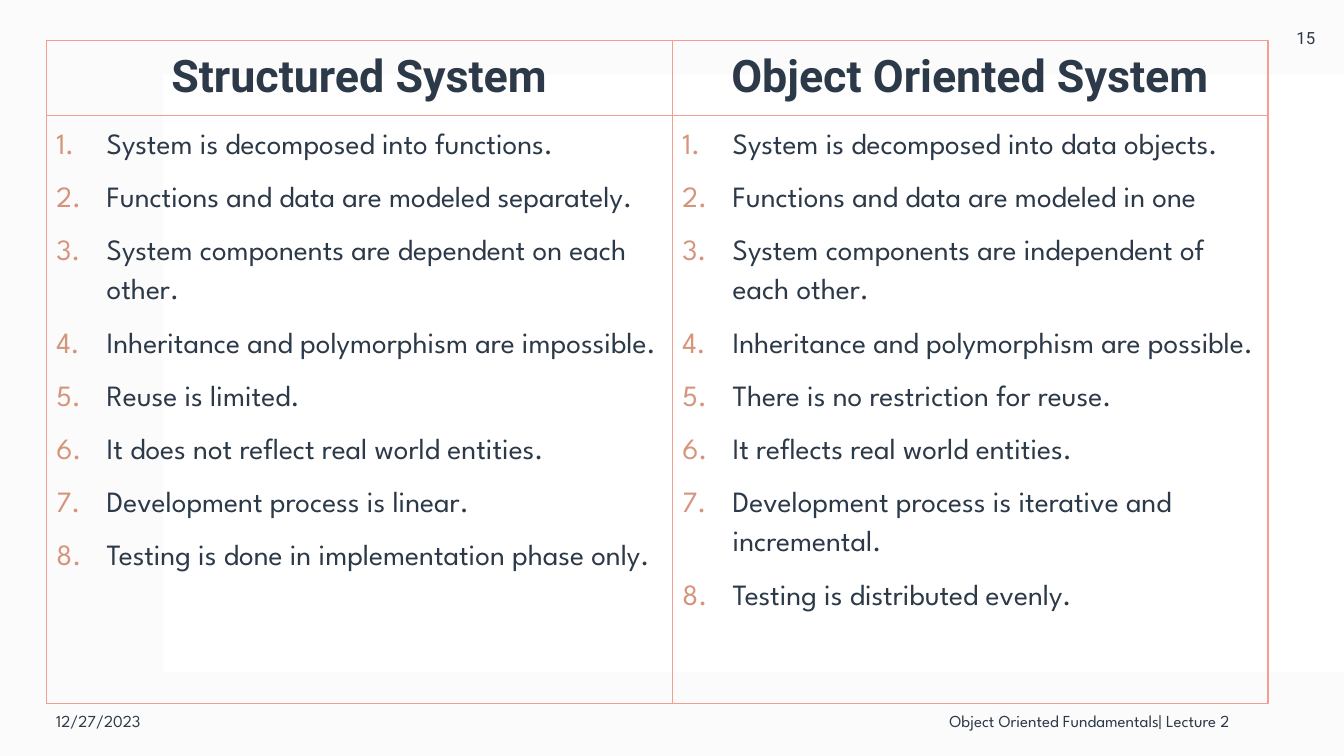
from dataclasses import dataclass

from lxml import etree
from pptx import Presentation
from pptx import util as u
from pptx.dml.color import RGBColor
from pptx.enum import shapes, text
from pptx.oxml import ns


@dataclass(frozen=True)
class Theme:
    ink: str = "2C3948"
    accent: str = "D6947C"
    frame: str = "F49D90"
    wash: str = "F4F4F4"
    paper: str = "FFFFFF"
    heading_font: str = "Roboto"
    body_font: str = "League Spartan"
    heading_size: float = 32
    body_size: float = 21
    small_size: float = 12
    frame_width: float = 0.75


@dataclass(frozen=True)
class Area:
    left: float
    top: float
    width: float
    height: float


@dataclass(frozen=True)
class Column:
    left: float
    width: float
    title: str
    points: tuple[str, ...]


@dataclass(frozen=True)
class Label:
    area: Area
    wording: str
    font: str
    align: text.PP_ALIGN


THEME = Theme()
SLIDE = Area(0, 0, 960, 540)
PANEL = Area(116.6, 53.3, 843.4, 427)
HEAD_TOP, HEAD_HEIGHT = 28.8, 54
BODY_TOP, BODY_HEIGHT = HEAD_TOP + HEAD_HEIGHT, 419.76
FOOT_TOP, FOOT_HEIGHT = 489.6, 50.4
INDENT, LINE_PITCH, POINT_GAP = 36, 28, 10

COLUMNS = (
    Column(33.12, 447.12, "Structured System", (
        "System is decomposed into functions.",
        "Functions and data are modeled separately.",
        "System components are dependent on each other.",
        "Inheritance and polymorphism are impossible.",
        "Reuse is limited.",
        "It does not reflect real world entities.",
        "Development process is linear.",
        "Testing is done in implementation phase only.",
    )),
    Column(480.24, 425.52, "Object Oriented System", (
        "System is decomposed into data objects.",
        "Functions and data are modeled in one",
        "System components are independent of each other.",
        "Inheritance and polymorphism are possible.",
        "There is no restriction for reuse.",
        "It reflects real world entities.",
        "Development process is iterative and incremental.",
        "Testing is distributed evenly.",
    )),
)

LABELS = (
    Label(Area(905.76, 0, 54, 54), "15", THEME.heading_font, text.PP_ALIGN.CENTER),
    Label(Area(33.12, FOOT_TOP, 216, FOOT_HEIGHT), "12/27/2023",
          THEME.body_font, text.PP_ALIGN.LEFT),
    Label(Area(296.64, FOOT_TOP, 588.96, FOOT_HEIGHT),
          "Object Oriented Fundamentals| Lecture 2",
          THEME.body_font, text.PP_ALIGN.RIGHT),
)


def bounds(area: Area) -> tuple[u.Length, ...]:
    return tuple(u.Pt(v) for v in (area.left, area.top, area.width, area.height))


def add_rect(s, area: Area, fill: str | None = None, line: str | None = None):
    sp = s.shapes.add_shape(shapes.MSO_SHAPE.RECTANGLE, *bounds(area))
    sp.shadow.inherit = False
    if fill:
        sp.fill.solid()
        sp.fill.fore_color.rgb = RGBColor.from_string(fill)
    else:
        sp.fill.background()
    if line:
        sp.line.color.rgb = RGBColor.from_string(line)
        sp.line.width = u.Pt(THEME.frame_width)
    else:
        sp.line.fill.background()
    return sp


def set_opacity(sp, percent: int) -> None:
    color = sp.fill._xPr.find(".//" + ns.qn("a:srgbClr"))
    etree.SubElement(color, ns.qn("a:alpha"), val=str(percent * 1000))


def format_runs(p, font: str, size: float, bold: bool = False) -> None:
    for r in p.runs:
        r.font.name = font
        r.font.size = u.Pt(size)
        r.font.bold = bold
        r.font.color.rgb = RGBColor.from_string(THEME.ink)


def number_paragraph(p) -> None:
    pPr = p._p.get_or_add_pPr()
    pPr.set("marL", str(u.Pt(INDENT)))
    pPr.set("indent", str(-u.Pt(INDENT)))
    color = etree.SubElement(pPr, ns.qn("a:buClr"))
    etree.SubElement(color, ns.qn("a:srgbClr"), val=THEME.accent)
    etree.SubElement(pPr, ns.qn("a:buFont"), typeface="+mj-lt")
    etree.SubElement(pPr, ns.qn("a:buAutoNum"), type="arabicPeriod")


def add_column(s, column: Column) -> None:
    head = add_rect(s, Area(column.left, HEAD_TOP, column.width, HEAD_HEIGHT),
                    line=THEME.frame)
    tf = head.text_frame
    tf.word_wrap = True
    tf.vertical_anchor = text.MSO_ANCHOR.MIDDLE
    tf.text = column.title
    p = tf.paragraphs[0]
    p.alignment = text.PP_ALIGN.CENTER
    p.line_spacing = 0.9
    format_runs(p, THEME.heading_font, THEME.heading_size, bold=True)

    body = add_rect(s, Area(column.left, BODY_TOP, column.width, BODY_HEIGHT),
                    line=THEME.frame)
    tf = body.text_frame
    tf.word_wrap = True
    tf.vertical_anchor = text.MSO_ANCHOR.TOP
    tf.text = "\n".join(column.points)
    for i, p in enumerate(tf.paragraphs):
        number_paragraph(p)
        p.alignment = text.PP_ALIGN.LEFT
        p.line_spacing = u.Pt(LINE_PITCH)
        p.space_before = u.Pt(POINT_GAP if i else 0)
        format_runs(p, THEME.body_font, THEME.body_size)


def add_label(s, label: Label) -> None:
    tf = s.shapes.add_textbox(*bounds(label.area)).text_frame
    tf.word_wrap = True
    tf.vertical_anchor = text.MSO_ANCHOR.MIDDLE
    tf.text = label.wording
    p = tf.paragraphs[0]
    p.alignment = label.align
    format_runs(p, label.font, THEME.small_size)


def main() -> None:
    prs = Presentation()
    prs.slide_width, prs.slide_height = u.Pt(SLIDE.width), u.Pt(SLIDE.height)
    s = prs.slides.add_slide(prs.slide_layouts[6])
    set_opacity(add_rect(s, SLIDE, fill=THEME.wash), 35)
    add_rect(s, PANEL, fill=THEME.paper)
    for column in COLUMNS:
        add_column(s, column)
    for label in LABELS:
        add_label(s, label)
    prs.save("out.pptx")


if __name__ == "__main__":
    main()
